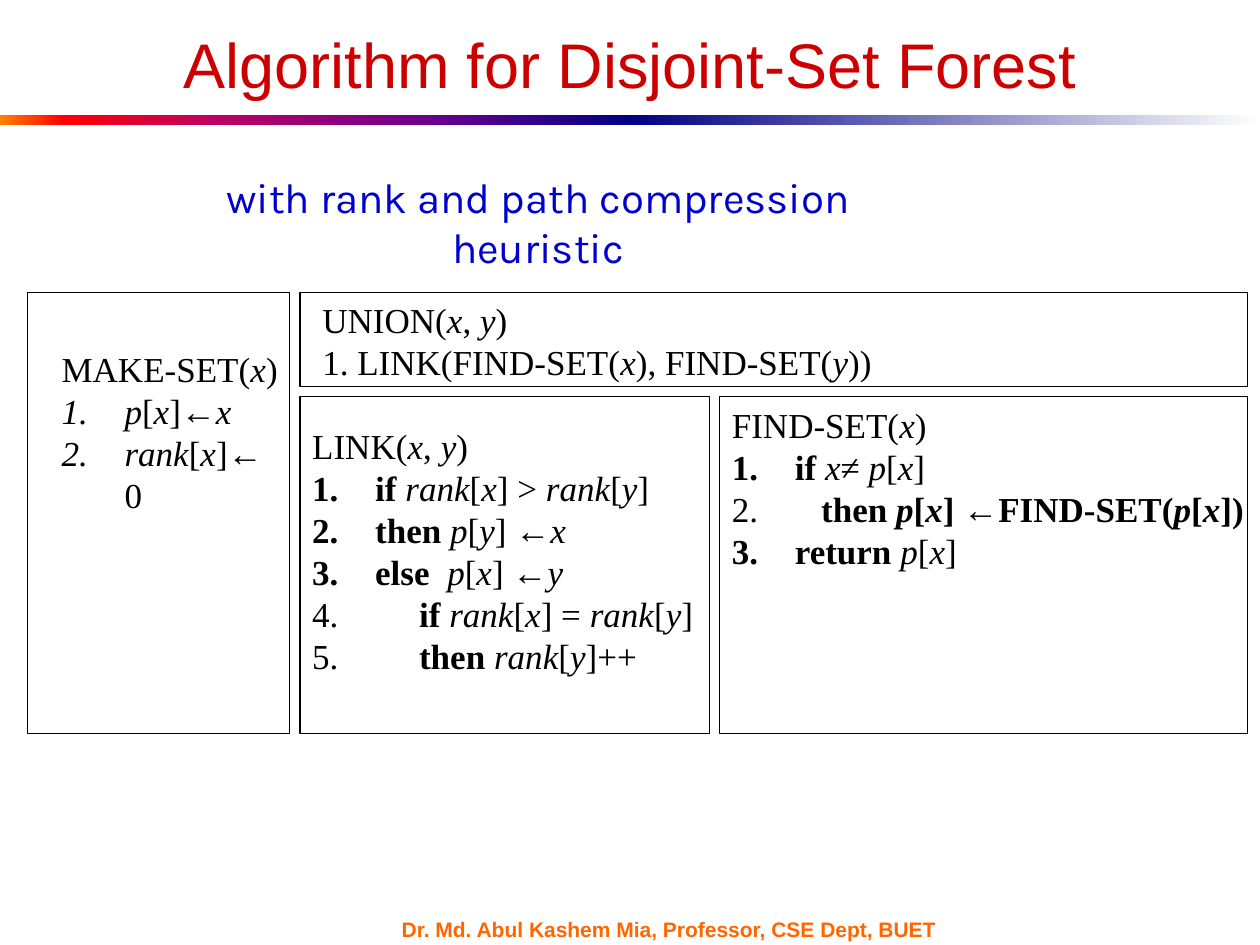
from lxml.etree import SubElement
from pptx import Presentation
from pptx.dml.color import RGBColor
from pptx.enum.shapes import MSO_SHAPE
from pptx.enum.text import MSO_ANCHOR, MSO_AUTO_SIZE, PP_ALIGN
from pptx.oxml.ns import qn
from pptx.util import Inches, Pt

WIDTH, HEIGHT = 10, 7.5
GAP = 0.08
LEFT, TOP = 0.22, 2.32
COLUMNS = (2.08, 3.25, 4.19)
ROWS = (0.75, 2.67)

# In the code lines, *...* is bold and _..._ is italic
MAKE_SET = ["MAKE-SET(_x_)", "_p_[_x_]←_x_", "_rank_[_x_]←0"]
UNION = ["UNION(_x_, _y_)", "1. LINK(FIND-SET(_x_), FIND-SET(_y_))"]
LINK = [
    "LINK(_x_, _y_)",
    "*if *_rank_[_x_] > _rank_[_y_]",
    "*then *_p_[_y_] ←_x_",
    "*else  *_p_[_x_] ←_y_",
    "     *if *_rank_[_x_] = _rank_[_y_]",
    "     *then *_rank_[_y_]++",
]
FIND_SET = [
    "FIND-SET(_x_)",
    "*if *_x_≠ _p_[_x_]",
    "   *then _p_[_x_] ←FIND-SET(_p_[_x_])*",
    "*return *_p_[_x_]",
]


def color(value):
    return RGBColor.from_string(value)


def add_span(para, text, font, size, ink, bold=False, italic=False):
    span = para.add_run()
    span.text = text
    span.font.name, span.font.size = font, Pt(size)
    span.font.bold, span.font.italic = bold, italic
    span.font.color.rgb = color(ink)


def add_text_box(page, box, wrap):
    shape = page.shapes.add_textbox(*map(Inches, box))
    shape.text_frame.word_wrap = wrap
    return shape.text_frame


def add_gradient_bar(page, box, stops):
    bar = page.shapes.add_shape(MSO_SHAPE.RECTANGLE, *map(Inches, box))
    bar.shadow.inherit = False
    bar.line.fill.background()
    bar.fill.gradient()
    bar.fill.gradient_angle = 0
    stop_list = bar._element.spPr.find(".//" + qn("a:gsLst"))
    for old_stop in list(stop_list):
        stop_list.remove(old_stop)
    for percent, value in stops:
        stop = SubElement(stop_list, qn("a:gs"), pos=str(percent * 1000))
        SubElement(stop, qn("a:srgbClr"), val=value)


def add_header(page):
    # Title
    title = page.shapes.title
    title.left, title.top = Inches(0.05 * WIDTH), Inches(0.25)
    title.width, title.height = Inches(0.9 * WIDTH), Inches(0.51)
    title.text_frame.vertical_anchor = MSO_ANCHOR.MIDDLE
    title.text_frame.auto_size = MSO_AUTO_SIZE.NONE
    para = title.text_frame.paragraphs[0]
    para.alignment = PP_ALIGN.CENTER
    add_span(para, "Algorithm for Disjoint-Set Forest", "Arial", 36, "CC0000")

    # Two-part rainbow rule
    half = WIDTH / 2
    add_gradient_bar(page, (0, 0.91, half, 0.08), [
        (0, "FF8200"), (10, "FF0000"), (35, "BA0066"),
        (70, "66008F"), (100, "000082")])
    add_gradient_bar(page, (half, 0.91, half, 0.08),
                     [(0, "000082"), (100, "FFFFFF")])


def add_subtitle(page, box):
    frame = add_text_box(page, box, True)
    frame.margin_left, frame.margin_right = 0, Inches(1.18)
    para = frame.paragraphs[0]
    para.alignment = PP_ALIGN.CENTER
    add_span(para, "with rank and path compression heuristic",
             "Karla", 24, "0000CC")


def add_code_panel(page, box, text_box, lines, numbered=True):
    # Outline
    outline = page.shapes.add_shape(MSO_SHAPE.RECTANGLE, *map(Inches, box))
    outline.shadow.inherit = False
    outline.fill.background()
    outline.line.color.rgb = color("000000")
    outline.line.width = Pt(0.75)

    # Heading and numbered steps
    frame = add_text_box(page, text_box, False)
    frame.auto_size = MSO_AUTO_SIZE.SHAPE_TO_FIT_TEXT
    for index, line in enumerate(lines):
        para = frame.add_paragraph() if index else frame.paragraphs[0]
        if numbered:
            properties = para._p.get_or_add_pPr()
            properties.set("marL", str(Inches(0.5)))
            properties.set("indent", str(-Inches(0.5)))
            if index:
                SubElement(properties, qn("a:buFontTx"))
                SubElement(properties, qn("a:buAutoNum"), type="arabicPeriod")
        for bold, part in enumerate(line.split("*")):
            for italic, text in enumerate(part.split("_")):
                if text:
                    add_span(para, text, "Times New Roman", 20, "000000",
                             bold % 2 == 1, italic % 2 == 1)


def add_panels(page, left, top):
    first, second, third = COLUMNS
    upper, lower = ROWS
    second_left = left + first + GAP
    third_left = second_left + second + GAP
    lower_top = top + upper + GAP
    add_code_panel(page, (left, top, first, upper + GAP + lower),
                   (left + 0.17, top + 0.39, 1.93, 1.1), MAKE_SET)
    add_code_panel(page, (second_left, lower_top, second, lower),
                   (second_left, lower_top + 0.17, 3.24, 2.46), LINK)
    add_code_panel(page, (third_left, lower_top, third, lower),
                   (third_left, lower_top, 4.29, 1.45), FIND_SET)
    add_code_panel(page, (second_left, top, second + GAP + third, upper),
                   (second_left + GAP, top, 4.6, 0.77), UNION, numbered=False)


def add_footer(page, box):
    frame = add_text_box(page, box, True)
    frame.vertical_anchor = MSO_ANCHOR.MIDDLE
    add_span(frame.paragraphs[0],
             "Dr. Md. Abul Kashem Mia, Professor, CSE Dept, BUET",
             "Arial", 12, "FF6600", bold=True)


def main():
    deck = Presentation()
    deck.slide_width, deck.slide_height = Inches(WIDTH), Inches(HEIGHT)
    page = deck.slides.add_slide(deck.slide_layouts[5])
    add_header(page)
    add_subtitle(page, (1.7, 1.31, 6.32, 0.5))
    add_panels(page, LEFT, TOP)
    add_footer(page, (3.09, 7.28, 4.67, 0.18))
    deck.save("out.pptx")


if __name__ == "__main__":
    main()
